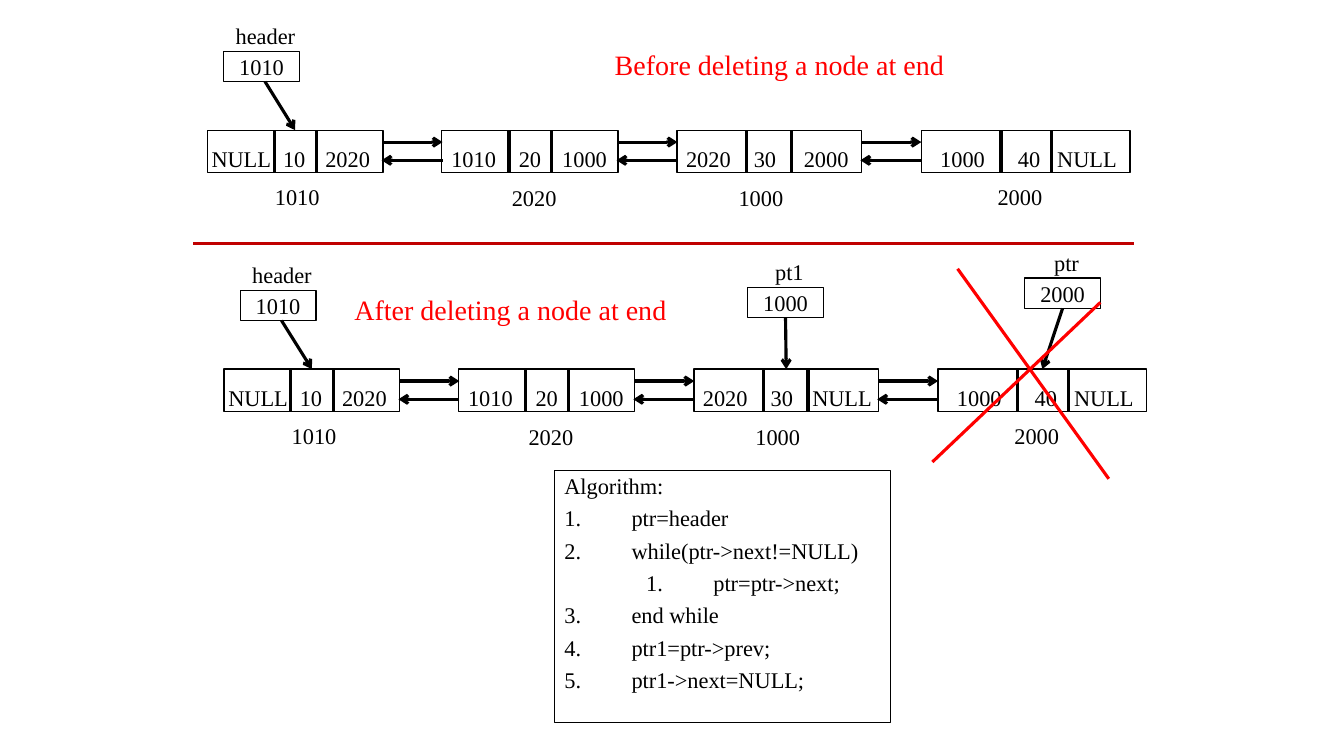
import lxml.etree
import pptx
import pptx.dml.color
import pptx.enum.shapes
import pptx.enum.text
import pptx.oxml.ns
import pptx.util

Pt = pptx.util.Pt
qn = pptx.oxml.ns.qn
PP_ALIGN = pptx.enum.text.PP_ALIGN
ANCHOR = pptx.enum.text.MSO_ANCHOR

COLORS = {"ink": "000000", "paper": "FFFFFF", "accent": "FF0000", "divider": "C00000"}

# left, width, divider positions, cell centres, address centre, address top
NODES = [
    (148.1, 125.5, (195.8, 226.1), (173.5, 210.6, 248.8), 212.8, 127.4),
    (315.4, 126, (363.6, 393.8), (338.8, 379, 418), 382, 128.2),
    (483.6, 132, (533.5, 565.2), (506.5, 546.9, 590.6), 544, 128.2),
    (658.1, 149, (715, 751), (688, 735.5, 777.6), 729, 127.4),
]
NODE_TOP, NODE_HEIGHT = 93, 30.2
ADDRESSES = ["1010", "2020", "1000", "2000"]
BEFORE = [
    ("NULL", "10", "2020"),
    ("1010", "20", "1000"),
    ("2020", "30", "2000"),
    ("1000", "40", "NULL"),
]
AFTER = BEFORE[:2] + [("2020", "30", "NULL")] + BEFORE[3:]
AFTER_SHIFT = (12, 170.7)
ALGORITHM = [
    ("Algorithm:", None),
    ("ptr=header", 0),
    ("while(ptr->next!=NULL)", 0),
    ("ptr=ptr->next;", 1),
    ("end while", 0),
    ("ptr1=ptr->prev;", 0),
    ("ptr1->next=NULL;", 0),
]


class ListDiagram:
    font = "Times New Roman"
    size = 16

    def __init__(self, slide):
        self.shapes = slide.shapes

    def color(self, name):
        return pptx.dml.color.RGBColor.from_string(COLORS[name])

    def style(self, paragraph, size=None, color="ink"):
        for run in paragraph.runs:
            run.font.name = self.font
            run.font.size = Pt(size or self.size)
            run.font.color.rgb = self.color(color)

    def text(self, content, left, top, width, size=None, color="ink"):
        box = self.shapes.add_textbox(Pt(left), Pt(top), Pt(width), Pt(26.6))
        box.text_frame.word_wrap = False
        box.text_frame.text = content
        self.style(box.text_frame.paragraphs[0], size, color)

    def value(self, content, center, top):
        width = 59 if content == "NULL" else 15 + 8 * len(content)
        self.text(content, center - width / 2, top, width)

    def rectangle(self, left, top, width, height, content="", outline="ink",
                  fill="paper", weight=1):
        shape = self.shapes.add_shape(pptx.enum.shapes.MSO_SHAPE.RECTANGLE,
                                      Pt(left), Pt(top), Pt(width), Pt(height))
        shape.shadow.inherit = False
        if fill:
            shape.fill.solid()
            shape.fill.fore_color.rgb = self.color(fill)
        else:
            shape.fill.background()
        shape.line.color.rgb = self.color(outline)
        shape.line.width = Pt(weight)
        if content:
            frame = shape.text_frame
            frame.text = content
            frame.vertical_anchor = ANCHOR.MIDDLE
            frame.paragraphs[0].alignment = PP_ALIGN.CENTER
            self.style(frame.paragraphs[0])
        return shape

    def line(self, x1, y1, x2, y2, color="ink", arrow=False):
        connector = self.shapes.add_connector(
            pptx.enum.shapes.MSO_CONNECTOR.STRAIGHT, Pt(x1), Pt(y1), Pt(x2), Pt(y2))
        connector.line.color.rgb = self.color(color)
        connector.line.width = Pt(2.25)
        properties = connector.element.spPr
        if arrow:
            lxml.etree.SubElement(properties.find(qn("a:ln")), qn("a:tailEnd"), type="arrow")
        lxml.etree.SubElement(properties, qn("a:effectLst"))
        return connector

    def linked_list(self, rows, dx=0, dy=0):
        """Draw the nodes with their addresses and links; return the node outlines."""
        top = NODE_TOP + dy
        outlines = []
        for node, values, address in zip(NODES, rows, ADDRESSES):
            left, width, dividers, centers, address_center, address_top = node
            outlines.append(self.rectangle(left + dx, top, width, NODE_HEIGHT))
            for x in dividers:
                self.line(x + dx, top, x + dx, top + NODE_HEIGHT)
            for value, center in zip(values, centers):
                self.value(value, center + dx, top + 7.1)
            self.value(address, address_center + dx, address_top + dy)
        for left, width, *_ in NODES[:-1]:
            start = left + width + dx
            end = start + 42.5
            self.line(start, top + 8.5, end, top + 8.5, arrow=True)
            self.line(end, top + 21.5, start - 1, top + 21.5, arrow=True)
        return outlines

    def pointer(self, label, address, left, top, node, start=None):
        """Draw a labelled pointer box with an arrow to the top of a node."""
        self.rectangle(left - 12.2, top - 24.5, 84, 26, label, outline="paper")
        box = self.rectangle(left, top, 54, 21.6, address)
        arrow = self.line(left + (start or 27), top + 21.6, left, top + 60, arrow=True)
        if start is None:
            arrow.begin_connect(box, 2)
        arrow.end_connect(node, 0)

    def algorithm(self, steps, left, top, width, height):
        frame = self.rectangle(left, top, width, height, fill=None, weight=0.75).text_frame
        frame.word_wrap = True
        frame.vertical_anchor = ANCHOR.TOP
        frame.text = "\n".join(step for step, _ in steps)
        for index, (paragraph, (_, level)) in enumerate(zip(frame.paragraphs, steps)):
            properties = paragraph._p.get_or_add_pPr()
            properties.set("marL", str(Pt(106.5 if level else 48)))
            properties.set("indent", str(Pt(-48)))
            if level is not None:
                lxml.etree.SubElement(properties, qn("a:buAutoNum"), type="arabicPeriod")
                paragraph.level = level
            paragraph.alignment = PP_ALIGN.LEFT
            paragraph.line_spacing = 0.9
            paragraph.space_before = Pt(5.8 if index else 0)
            self.style(paragraph)


def main():
    presentation = pptx.Presentation()
    presentation.slide_width = Pt(960)
    presentation.slide_height = Pt(540)
    diagram = ListDiagram(presentation.slides.add_slide(presentation.slide_layouts[6]))

    before = diagram.linked_list(BEFORE)
    diagram.pointer("header", "1010", 159.8, 36.7, before[0], start=29.5)
    diagram.text("Before deleting a node at end", 432, 30.2, 251.3, 20, "accent")

    after = diagram.linked_list(AFTER, *AFTER_SHIFT)
    diagram.pointer("header", "1010", 171.6, 207.4, after[0], start=29.5)
    diagram.pointer("pt1", "1000", 534.1, 205.2, after[2])
    diagram.pointer("ptr", "2000", 732, 198.7, after[3])
    diagram.line(684, 192, 792, 342, "accent")
    diagram.line(786, 216, 666, 330, "accent")
    diagram.text("After deleting a node at end", 246, 205.2, 239, 20, "accent")

    diagram.line(138, 174, 810, 174, "divider")
    diagram.algorithm(ALGORITHM, 396, 336, 240, 180)
    presentation.save("out.pptx")


if __name__ == "__main__":
    main()
